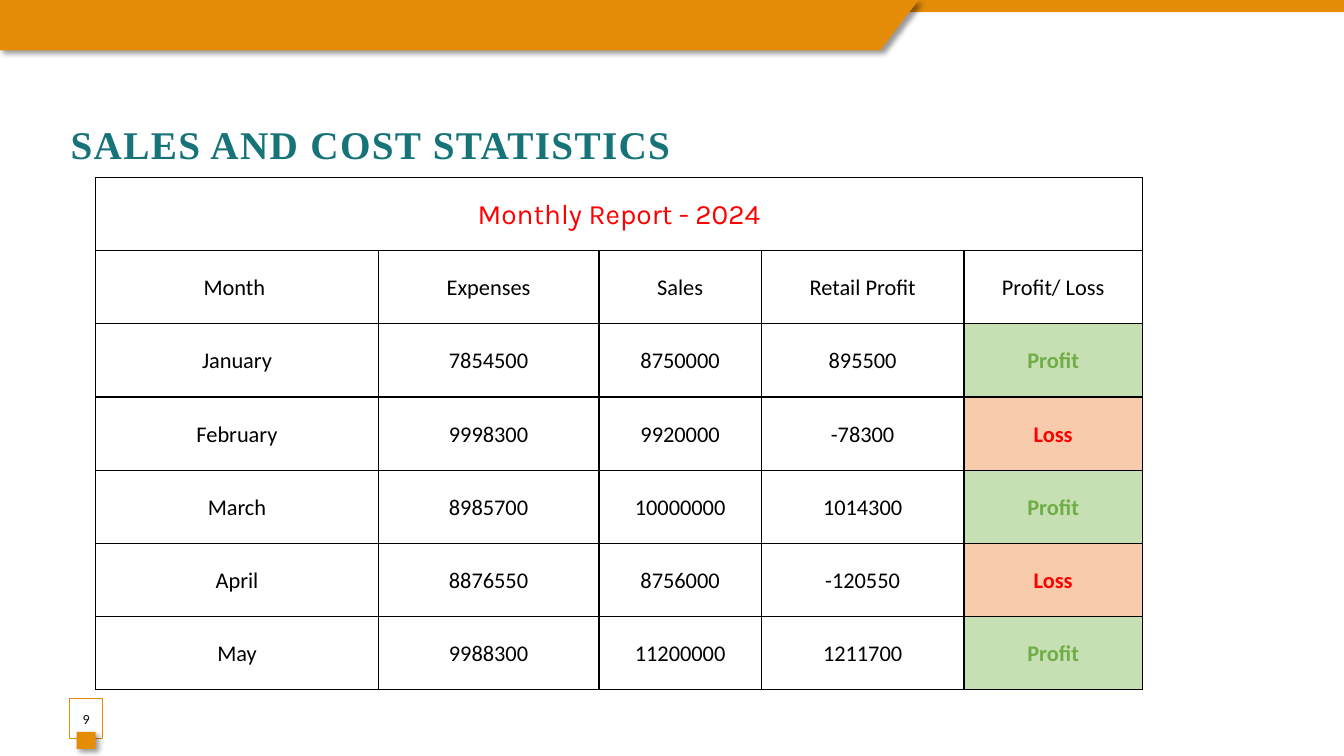
"""Build the sales and cost statistics slide with its monthly table."""
import dataclasses
import typing

import pptx
import pptx.dml.color
import pptx.enum.shapes
import pptx.enum.text
import pptx.oxml
import pptx.oxml.ns
import pptx.util

ORANGE, WHITE, BLACK, RED = "E58C09", "FFFFFF", "000000", "FF0000"
COLUMNS = (21.01, 16.43, 12.08, 15.08, 13.28)
ROW = 9.68
HEADINGS = ("Month ", "Expenses", "Sales", "Retail Profit", "Profit/ Loss")
MONTHS = (
    ("January", "7854500", "8750000", "895500", "Profit"),
    ("February", "9998300", "9920000", "-78300", "Loss"),
    ("March", "8985700", "10000000", "1014300", "Profit"),
    ("April", "8876550", "8756000", "-120550", "Loss"),
    ("May", "9988300", "11200000", "1211700", "Profit"),
)


@dataclasses.dataclass(frozen=True)
class Box:
    left: float
    top: float
    width: float
    height: float


@dataclasses.dataclass(frozen=True)
class Look:
    size: int
    font: str
    color: str
    bold: bool = False
    fill: typing.Optional[str] = None


@dataclasses.dataclass(frozen=True)
class Block:
    box: Box
    fill: str = ORANGE
    line: typing.Optional[str] = None
    shadow: bool = False


PLAIN = Look(16, "Calibri", BLACK)
LOOKS = {
    "Profit": Look(16, "Calibri", "70AD47", True, "C6E0B4"),
    "Loss": Look(16, "Calibri", RED, True, "F8CBAD"),
}
TITLE_BOX = Box(4.5, 14.4, 46.74, 8.93)
TABLE_BOX = Box(7.13, 23.47, sum(COLUMNS), ROW * (len(MONTHS) + 2))
TOP_BAR = Block(Box(0, 0, 100, 1.6))
BADGE = Block(Box(5.18, 92.4, 2.48, 5.33), WHITE, ORANGE)
BADGE_TAB = Block(Box(5.7, 96.8, 1.43, 2.27), shadow=True)
BANNER = ((0, 0), (68.34, 0), (65.49, 6.67), (0, 6.67))

prs = pptx.Presentation()
prs.slide_width = pptx.util.Inches(13.33)
prs.slide_height = pptx.util.Inches(7.5)


def across(share: float) -> int:
    """Turn a percentage of the slide width into a length."""
    return round(prs.slide_width * share / 100)


def down(share: float) -> int:
    """Turn a percentage of the slide height into a length."""
    return round(prs.slide_height * share / 100)


def place(box: Box) -> tuple:
    """Return left, top, width and height as lengths."""
    return across(box.left), down(box.top), across(box.width), down(box.height)


def rgb(value: str) -> pptx.dml.color.RGBColor:
    """Turn a hex string into a colour."""
    return pptx.dml.color.RGBColor.from_string(value)


def xml(markup: str):
    """Parse a drawing element whose opening tag ends in a blank."""
    return pptx.oxml.parse_xml(markup.replace(" ", f' {pptx.oxml.ns.nsdecls("a")} ', 1))


def paint(sp, fill: str, line: typing.Optional[str], shadow: bool) -> None:
    """Set the fill, line and shadow of a shape."""
    sp.fill.solid()
    sp.fill.fore_color.rgb = rgb(fill)
    if line:
        sp.line.color.rgb = rgb(line)
        sp.line.width = pptx.util.Pt(0.75)
    else:
        sp.line.fill.background()
    sp.shadow.inherit = False
    if shadow:
        effects = sp._element.spPr.find(pptx.oxml.ns.qn("a:effectLst"))
        effects.append(xml(
            f'<a:outerShdw blurRad="{pptx.util.Pt(4)}" dist="{pptx.util.Pt(3)}" dir="2700000" '
            f'algn="tl" rotWithShape="0"><a:srgbClr val="{BLACK}"><a:alpha val="40000"/>'
            '</a:srgbClr></a:outerShdw>'))


def add_block(s, block: Block):
    """Draw a rectangle."""
    sp = s.shapes.add_shape(pptx.enum.shapes.MSO_SHAPE.RECTANGLE, *place(block.box))
    paint(sp, block.fill, block.line, block.shadow)
    return sp


def write(tf, text: str, look: Look, spacing: float = 1.0,
          align=pptx.enum.text.PP_ALIGN.CENTER):
    """Write one formatted paragraph and return it."""
    p = tf.paragraphs[0]
    p.text = text
    p.alignment = align
    p.line_spacing = spacing
    p.font.size = pptx.util.Pt(look.size)
    p.font.name = look.font
    p.font.bold = look.bold
    p.font.color.rgb = rgb(look.color)
    return p


def add_title(s) -> None:
    """Place and format the title placeholder."""
    title = s.shapes.title
    title.left, title.top, title.width, title.height = place(TITLE_BOX)
    tf = title.text_frame
    tf.auto_size = pptx.enum.text.MSO_AUTO_SIZE.NONE
    tf.vertical_anchor = pptx.enum.text.MSO_ANCHOR.MIDDLE
    p = write(tf, "SALES AND COST STATISTICS", Look(28, "Times New Roman", "167479", True),
              1.07, pptx.enum.text.PP_ALIGN.LEFT)
    p.space_after = pptx.util.Pt(8)
    p.runs[0]._r.get_or_add_rPr().set("spc", "100")


def add_banner(s) -> None:
    """Draw the slanted banner at the top."""
    start, *rest = [(across(x), down(y)) for x, y in BANNER]
    builder = s.shapes.build_freeform(*start)
    builder.add_line_segments(rest, close=True)
    paint(builder.convert_to_shape(), ORANGE, None, True)


def add_page_number(s) -> None:
    """Draw the framed page number with its tab."""
    sp = add_block(s, BADGE)
    color = sp._element.spPr.find(".//" + pptx.oxml.ns.qn("a:srgbClr"))
    color.append(xml('<a:alpha val="82000"/>'))
    tf = sp.text_frame
    tf.margin_left = tf.margin_right = 0
    tf.vertical_anchor = pptx.enum.text.MSO_ANCHOR.MIDDLE
    write(tf, "9", Look(10, "Calibri", "0D0D0D"))
    add_block(s, BADGE_TAB)


def format_cell(cell, text: str, look: Look) -> None:
    """Set the borders, fill and text of a table cell."""
    for side in "LRTB":
        cell._tc.get_or_add_tcPr().append(xml(
            f'<a:ln{side} w="{pptx.util.Pt(1)}"><a:solidFill><a:srgbClr val="{BLACK}"/>'
            f'</a:solidFill></a:ln{side}>'))
    if look.fill:
        cell.fill.solid()
        cell.fill.fore_color.rgb = rgb(look.fill)
    else:
        cell.fill.background()
    cell.margin_left = cell.margin_right = pptx.util.Inches(0.07)
    cell.margin_top = cell.margin_bottom = 0
    cell.vertical_anchor = pptx.enum.text.MSO_ANCHOR.MIDDLE
    write(cell.text_frame, text, look, 1.07)


def add_report(s) -> None:
    """Draw the monthly report table."""
    caption = ("Monthly Report - 2024",) + ("",) * (len(COLUMNS) - 1)
    rows = (caption, HEADINGS) + MONTHS
    table = s.shapes.add_table(len(rows), len(COLUMNS), *place(TABLE_BOX)).table
    table.first_row = table.horz_banding = False
    for column, share in zip(table.columns, COLUMNS):
        column.width = across(share)
    for i, texts in enumerate(rows):
        table.rows[i].height = down(ROW)
        for j, text in enumerate(texts):
            look = LOOKS.get(text, PLAIN) if i else Look(20, "Karla", RED)
            format_cell(table.cell(i, j), text, look)
    table.cell(0, 0).merge(table.cell(0, len(COLUMNS) - 1))


def main() -> None:
    """Build and save the slide."""
    s = prs.slides.add_slide(prs.slide_layouts[5])
    add_block(s, TOP_BAR)
    add_banner(s)
    add_title(s)
    add_page_number(s)
    add_report(s)
    prs.save("out.pptx")


if __name__ == "__main__":
    main()
